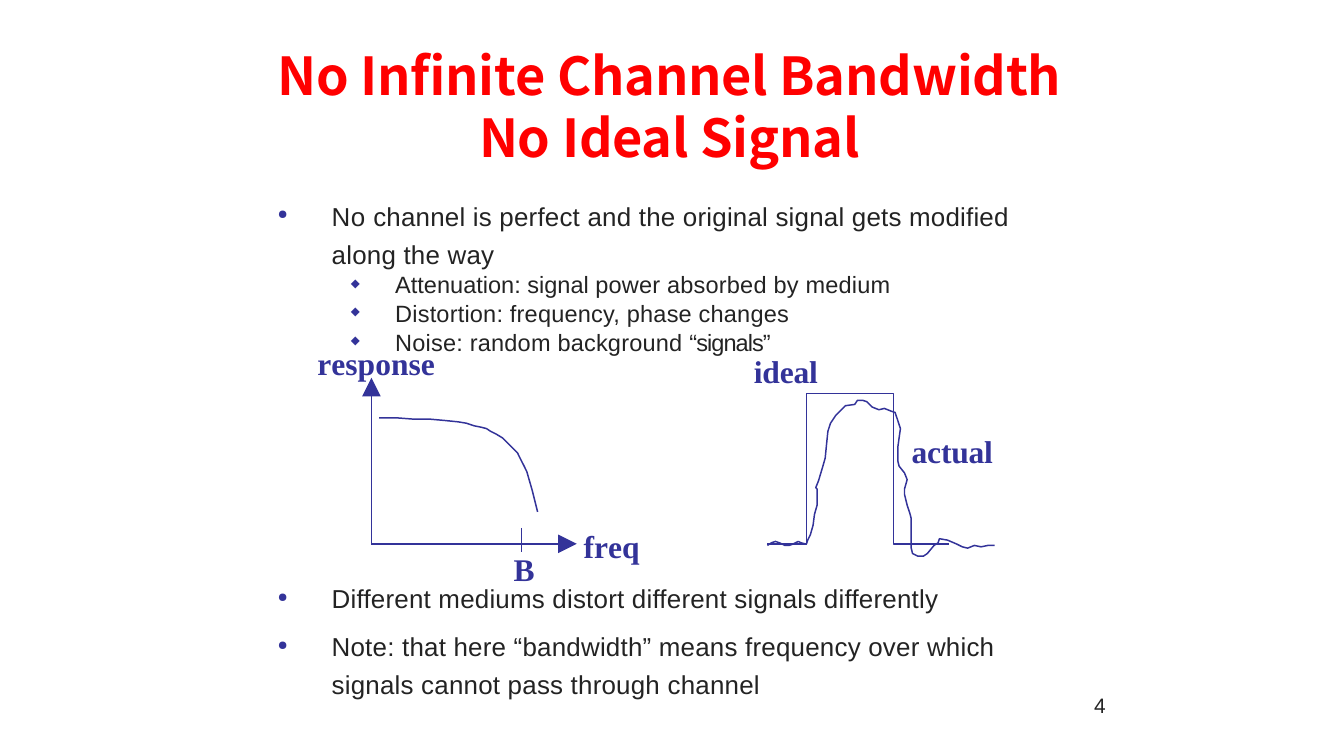
from dataclasses import dataclass

from lxml import etree
from pptx import Presentation
from pptx import util as u
from pptx.dml.color import RGBColor
from pptx.enum import shapes, text
from pptx.oxml import ns


@dataclass(frozen=True)
class Theme:
    red: RGBColor = RGBColor(0xFF, 0x00, 0x00)
    ink: RGBColor = RGBColor(0x23, 0x23, 0x23)
    blue: RGBColor = RGBColor(0x33, 0x33, 0x99)
    title: float = 28
    body: float = 13.9
    detail: float = 12.6
    label: float = 16.9
    number: float = 11.2
    line: float = 0.8


T = Theme()
TITLE = dict(name="Noto Sans CJK SC", size=u.Pt(T.title), bold=True)
BODY = dict(name="Arial", size=u.Pt(T.body))
DETAIL = dict(name="Arial", size=u.Pt(T.detail))
NUMBER = dict(name="Arial", size=u.Pt(T.number))
LABEL = dict(name="Times New Roman", size=u.Pt(T.label), bold=True)

TOP_BULLET = dict(char="●", left=1.04, hang=1.02)
SUB_BULLET = dict(char="◆", left=2.24, hang=0.84)

# Curves are plotted on a grid of a hundredth of 2.54 cm.
GRID = u.Cm(2.54) / 100
RESPONSE_CURVE = [
    (282, 311), (295, 311), (308, 312), (320, 312), (331, 313), (341, 314),
    (347, 315), (353, 317), (358, 318), (362, 319), (365, 321), (369, 323),
    (374, 326), (378, 330), (382, 334), (385, 337), (387, 341), (390, 347),
    (392, 351), (394, 358), (396, 365), (398, 373), (400, 381)]
IDEAL_PULSE = [(571, 405), (600, 405), (600, 293), (665, 293), (665, 405),
               (706, 405)]
ACTUAL_PULSE = [
    (571, 406), (574, 404), (577, 403), (580, 404), (584, 406), (587, 406),
    (590, 405), (594, 403), (596, 404), (600, 405), (601, 402), (603, 398),
    (605, 391), (606, 383), (608, 376), (608, 364), (607, 363), (609, 358),
    (612, 348), (614, 341), (615, 331), (616, 321), (618, 315), (622, 309),
    (626, 305), (629, 302), (636, 301), (638, 298), (642, 298), (645, 299),
    (649, 303), (654, 305), (658, 304), (663, 306), (666, 307), (668, 313),
    (670, 319), (669, 326), (668, 333), (668, 343), (669, 347), (673, 352),
    (675, 357), (673, 364), (673, 368), (675, 376), (677, 382), (678, 386),
    (678, 408), (679, 412), (683, 414), (687, 414), (690, 412), (695, 406),
    (698, 404), (699, 401), (705, 402), (712, 405), (716, 407), (720, 408),
    (725, 406), (730, 407), (735, 406), (740, 406)]


def add_child(parent, tag, **attrs):
    return etree.SubElement(parent, ns.qn(tag), attrs)


def add_box(s, x, y, w, h, top=0.0, left=0.0):
    """Add a wrapping text box and return its text frame."""
    tf = s.shapes.add_textbox(*map(u.Cm, (x, y, w, h))).text_frame
    frame = dict(word_wrap=True, margin_left=u.Cm(left), margin_right=0,
                 margin_top=u.Cm(top), margin_bottom=0,
                 auto_size=text.MSO_AUTO_SIZE.SHAPE_TO_FIT_TEXT)
    for name, value in frame.items():
        setattr(tf, name, value)
    return tf


def add_run(p, words, fmt, color, spacing=0.0):
    r = p.add_run()
    r.text = words
    for name, value in fmt.items():
        setattr(r.font, name, value)
    r.font.color.rgb = color
    r.font._element.set("spc", str(round(spacing * 100)))


def set_bullet(p, char, left, hang):
    pPr = p._p.get_or_add_pPr()
    pPr.set("marL", str(u.Cm(left)))
    pPr.set("indent", str(-u.Cm(hang)))
    add_child(add_child(pPr, "a:buClr"), "a:srgbClr", val=str(T.blue))
    add_child(pPr, "a:buSzPct", val="50000")
    add_child(pPr, "a:buChar", char=char)


def add_bullets(tf, items):
    """Fill a frame with (runs, format, bullet, paragraph settings)."""
    for i, (runs, fmt, bullet, settings) in enumerate(items):
        p = tf.add_paragraph() if i else tf.paragraphs[0]
        set_bullet(p, **bullet)
        for name, value in settings.items():
            setattr(p, name, value)
        for words, spacing in runs:
            add_run(p, words, fmt, T.ink, spacing)


def add_label(s, x, y, w, *runs):
    tf = add_box(s, x, y, w, 0.74, top=0.06, left=0.03)
    for words, spacing in runs:
        add_run(tf.paragraphs[0], words, LABEL, T.blue, spacing)


def add_line(s, x1, y1, x2, y2, arrow=False):
    sp = s.shapes.add_connector(shapes.MSO_CONNECTOR.STRAIGHT,
                                *map(u.Cm, (x1, y1, x2, y2)))
    sp.line.color.rgb = T.blue
    sp.line.width = u.Pt(T.line)
    if arrow:
        add_child(sp.line._get_or_add_ln(), "a:tailEnd",
                  type="triangle", w="lg", len="lg")
    add_child(sp._element.spPr, "a:effectLst")


def add_curve(s, points):
    start, *rest = points
    builder = s.shapes.build_freeform(*start, scale=GRID)
    builder.add_line_segments(rest, close=False)
    sp = builder.convert_to_shape()
    sp.shadow.inherit = False
    sp.fill.background()
    sp.line.color.rgb = T.blue
    sp.line.width = u.Pt(T.line)


def add_title(s):
    tf = add_box(s, 4.98, 0.76, 15.34, 2.41, top=0.06)
    tf.vertical_anchor = text.MSO_ANCHOR.MIDDLE
    p = tf.paragraphs[0]
    p.alignment = text.PP_ALIGN.CENTER
    for i, words in enumerate(("No Infinite Channel Bandwidth",
                               "No Ideal Signal")):
        if i:
            p.add_line_break()
        add_run(p, words, TITLE, T.red, -0.1)


def add_body(s):
    spaced = u.Pt(20.3)
    add_bullets(add_box(s, 5.23, 3.51, 14.81, 3.23, top=0.15), [
        ([("No ", 0.2), ("channel is perfect and the original signal gets "
                         "modified along the way", 0.1)],
         BODY, TOP_BULLET, dict(line_spacing=spaced)),
        ([("Attenuation: signal ", 0), ("power absorbed by medium", 0.1)],
         DETAIL, SUB_BULLET, dict(level=1, space_before=u.Pt(0.6))),
        ([("Distortion: frequency, phase changes", 0.1)],
         DETAIL, SUB_BULLET, dict(level=1, space_before=u.Pt(0.2))),
        ([("Noise: random background ", 0.1), ("“signals”", -0.5)],
         DETAIL, SUB_BULLET, dict(level=1, space_before=u.Pt(0.2)))])
    add_bullets(add_box(s, 5.23, 10.95, 14.88, 2.26, top=0.07), [
        ([("Different mediums distort different signals differently", 0.1)],
         BODY, TOP_BULLET, {}),
        ([("Note: that here “bandwidth” means frequency over which signals "
           "cannot pass through channel", 0.1)],
         BODY, TOP_BULLET, dict(line_spacing=spaced, space_before=u.Pt(5.2)))])


def add_response_plot(s):
    x, y = 7.02, 10.28
    add_line(s, x, y, 10.9, y, arrow=True)
    add_line(s, x, y, x, 7.14, arrow=True)
    add_curve(s, RESPONSE_CURVE)
    add_line(s, 9.86, 9.98, 9.86, 10.44)
    add_label(s, 9.68, 10.34, 0.46, ("B", 0.1))
    add_label(s, 11.0, 9.91, 1.1, ("f", 0), ("r", -0.5), ("e", -0.1), ("q", 0.1))
    add_label(s, 5.97, 6.45, 2.26, ("r", -0.5), ("e", -0.1), ("sp", 0),
              ("o", -0.1), ("ns", 0), ("e", 0.1))


def add_pulse_plot(s):
    add_curve(s, IDEAL_PULSE)
    add_curve(s, ACTUAL_PULSE)
    add_label(s, 14.22, 6.6, 1.27, ("ideal", -0.1))
    add_label(s, 17.2, 8.1, 1.6, ("actual", -0.1))


def add_slide_number(s):
    p = add_box(s, 20.65, 12.95, 0.28, 0.64, left=0.03).paragraphs[0]
    p.line_spacing = u.Pt(17.5)
    add_run(p, "4", NUMBER, T.ink)


def main():
    prs = Presentation()
    prs.slide_width, prs.slide_height = u.Cm(25.4), u.Cm(14.29)
    s = prs.slides.add_slide(prs.slide_layouts[6])
    for add_part in (add_title, add_body, add_response_plot, add_pulse_plot,
                     add_slide_number):
        add_part(s)
    prs.save("out.pptx")


if __name__ == "__main__":
    main()
